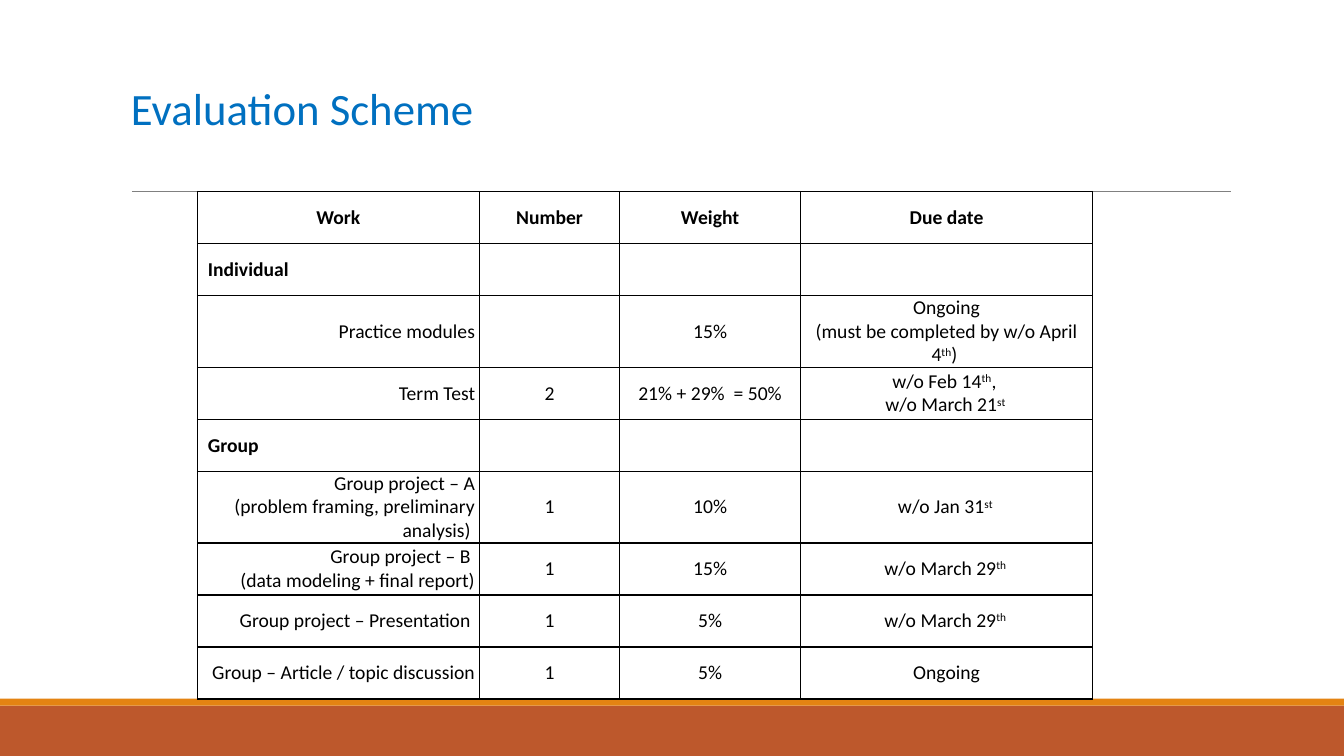
from lxml import etree
from pptx import Presentation
from pptx.dml.color import RGBColor
from pptx.enum.shapes import MSO_CONNECTOR, MSO_SHAPE
from pptx.enum.text import MSO_ANCHOR, PP_ALIGN
from pptx.oxml.ns import qn
from pptx.util import Pt

LEFT, CENTER, RIGHT = PP_ALIGN.LEFT, PP_ALIGN.CENTER, PP_ALIGN.RIGHT
MIDDLE = MSO_ANCHOR.MIDDLE


def color(hex_text):
    """Turn a hex string into a colour."""
    return RGBColor.from_string(hex_text)


def add_text(para, text, size, hex_text, bold=False):
    """Write text into a paragraph; parts between ^ marks are superscript."""
    for index, part in enumerate(text.split("^")):
        if not part:
            continue
        span = para.add_run()
        span.text = part
        style = {"name": "Calibri", "size": Pt(size), "bold": bold}
        for name, value in style.items():
            setattr(span.font, name, value)
        span.font.color.rgb = color(hex_text)
        if index % 2:
            span.font._element.set("baseline", "30000")


deck = Presentation()
deck.slide_width, deck.slide_height = Pt(960), Pt(540)
page = deck.slides.add_slide(deck.slide_layouts[6])

# Footer bands
for top, height, fill in [(504, 36, "BD582C"), (499, 5, "E48312")]:
    band = page.shapes.add_shape(MSO_SHAPE.RECTANGLE, 0, Pt(top), Pt(960), Pt(height))
    band.shadow.inherit = False
    band.fill.solid()
    band.fill.fore_color.rgb = color(fill)
    band.line.fill.background()

# Rule under the title
rule = page.shapes.add_connector(
    MSO_CONNECTOR.STRAIGHT, Pt(94.3), Pt(136.8), Pt(879), Pt(136.8))
rule.line.color.rgb = color("808080")
rule.line.width = Pt(0.5)
etree.SubElement(rule._element.spPr, qn("a:effectLst"))

# Title
title = page.shapes.add_textbox(Pt(86.4), Pt(22.3), Pt(792), Pt(114.5))
title.text_frame.word_wrap = True
title.text_frame.vertical_anchor = MIDDLE
title_para = title.text_frame.paragraphs[0]
title_para.line_spacing = 0.85
add_text(title_para, "Evaluation Scheme", 32, "0070C0")

# Evaluation table: a line break in a text starts a new paragraph
rows = [
    ("Work", "Number", "Weight", "Due date"),
    ("Individual", "", "", ""),
    ("Practice modules", "", "15%",
     "Ongoing\n(must be completed by w/o April 4^th^) "),
    ("Term Test", "2", "21% + 29%  = 50%", "w/o Feb 14^th^, \nw/o March 21^st ^"),
    ("Group", "", "", ""),
    ("Group project – A\n(problem framing, preliminary analysis) ", "1", "10%",
     "w/o Jan 31^st ^"),
    ("Group project – B \n(data modeling + final report)", "1", "15%",
     "w/o March 29^th ^"),
    ("Group project – Presentation ", "1", "5%", "w/o March 29^th ^"),
    ("Group – Article / topic discussion", "1", "5%", "Ongoing"),
]
column_widths = [201.2, 100.5, 129, 208.8]
tall_rows = {2, 5}
row_heights = [51.3 if index in tall_rows else 37.15 for index in range(len(rows))]

table = page.shapes.add_table(
    len(rows), len(column_widths), Pt(141.1), Pt(136.8),
    Pt(sum(column_widths)), Pt(sum(row_heights))).table
table.first_row = table.horz_banding = False
for column, width in zip(table.columns, column_widths):
    column.width = Pt(width)

for row_index, texts in enumerate(rows):
    table.rows[row_index].height = Pt(row_heights[row_index])
    is_header = row_index == 0
    is_section = texts[0] in ("Individual", "Group")
    side, vertical = (5, 7.2) if is_header else (2.9, 0)
    cell_format = {
        "vertical_anchor": MIDDLE,
        "margin_left": Pt(side), "margin_right": Pt(side),
        "margin_top": Pt(vertical), "margin_bottom": Pt(vertical),
    }
    for column_index, text in enumerate(texts):
        cell = table.cell(row_index, column_index)
        for name, value in cell_format.items():
            setattr(cell, name, value)

        is_work = column_index == 0 and not is_header
        align = CENTER if not is_work else LEFT if is_section else RIGHT
        for line_index, line in enumerate(text.split("\n")):
            frame = cell.text_frame
            para = frame.add_paragraph() if line_index else frame.paragraphs[0]
            para.alignment = align
            para.font.size = Pt(14)
            if is_work:
                para._p.get_or_add_pPr().set("marL", str(Pt(4.5)))
            add_text(para, line, 14, "000000", is_header or is_section)

        properties = cell._tc.get_or_add_tcPr()
        for edge in ("a:lnL", "a:lnR", "a:lnT", "a:lnB"):
            border = etree.SubElement(properties, qn(edge), w=str(Pt(1)))
            paint = etree.SubElement(border, qn("a:solidFill"))
            etree.SubElement(paint, qn("a:srgbClr"), val="000000")
        cell.fill.background()

deck.save("out.pptx")
